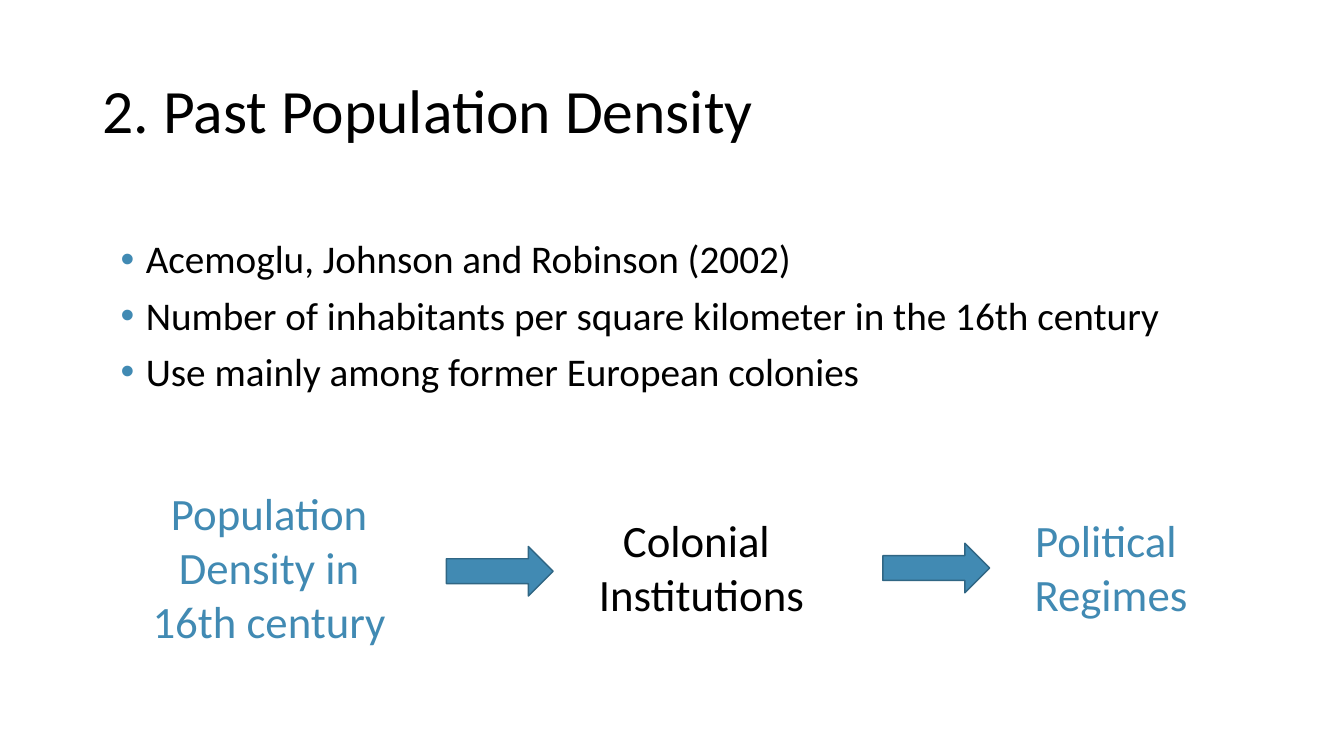
from lxml import etree
from pptx import Presentation
from pptx import util as u
from pptx.dml.color import RGBColor
from pptx.enum import shapes, text
from pptx.oxml import ns

BLACK = RGBColor(0x00, 0x00, 0x00)
BLUE = RGBColor(0x41, 0x8A, 0xB3)
DARK_BLUE = RGBColor(0x30, 0x66, 0x84)


class Deck:
    """Holds the style and the current slide."""
    font_name = "Calibri"

    def __init__(self):
        self.prs = Presentation()
        self.prs.slide_width, self.prs.slide_height = u.Cm(33.87), u.Cm(19.05)
        self.slide = self.prs.slides.add_slide(self.prs.slide_layouts[6])

    def add_lines(self, box, lines, size, color=BLACK, bullets=False,
                  align=text.PP_ALIGN.LEFT, spacing=None,
                  anchor=text.MSO_ANCHOR.TOP):
        frame = self.slide.shapes.add_textbox(*map(u.Cm, box)).text_frame
        frame.word_wrap = True
        frame.vertical_anchor = anchor
        for i, line in enumerate(lines):
            para = frame.paragraphs[0] if i == 0 else frame.add_paragraph()
            para.text = line
            para.alignment = align
            para.line_spacing = spacing
            if bullets:
                para.space_before = u.Pt(10 if i else 0)
                self.add_bullet(para)
            para.font.name = self.font_name
            para.font.size = u.Pt(size)
            para.font.color.rgb = color

    def add_bullet(self, para):
        props = para._p.get_or_add_pPr()
        indent = u.Cm(0.635)
        props.set("marL", str(indent))
        props.set("indent", str(-indent))
        tint = etree.SubElement(props, ns.qn("a:buClr"))
        etree.SubElement(tint, ns.qn("a:srgbClr"), val=str(BLUE))
        etree.SubElement(props, ns.qn("a:buFont"), typeface="Arial")
        etree.SubElement(props, ns.qn("a:buChar"), char="•")

    def add_arrow(self, left, top):
        arrow = self.slide.shapes.add_shape(
            shapes.MSO_SHAPE.RIGHT_ARROW,
            *map(u.Cm, (left, top, 2.69, 1.25)))
        arrow.shadow.inherit = False
        arrow.fill.solid()
        arrow.fill.fore_color.rgb = BLUE
        arrow.line.color.rgb = DARK_BLUE
        arrow.line.width = u.Pt(1)

    def add_stage(self, box, lines, color):
        self.add_lines(box, lines, 32, color, align=text.PP_ALIGN.CENTER)


def main():
    deck = Deck()

    # Title
    deck.add_lines((2.34, 1.02, 29.21, 3.68), ["2. Past Population Density"],
                   44, spacing=0.9, anchor=text.MSO_ANCHOR.MIDDLE)

    # Key points
    deck.add_lines((2.79, 5.92, 29.21, 12.09), [
        "Acemoglu, Johnson and Robinson (2002)",
        "Number of inhabitants per square kilometer in the 16th century",
        "Use mainly among former European colonies",
    ], 28, bullets=True, spacing=0.9)

    # Causal chain
    deck.add_stage((3.23, 12.12, 7.11, 4.37),
                   ["Population", "Density in 16th century"], BLUE)
    deck.add_arrow(11.25, 13.77)
    deck.add_stage((14.02, 12.8, 7.32, 3), ["Colonial ", "Institutions"], BLACK)
    deck.add_arrow(22.25, 13.69)
    deck.add_stage((24.94, 12.8, 6.12, 3), ["Political ", "Regimes"], BLUE)

    deck.prs.save("out.pptx")


if __name__ == "__main__":
    main()
